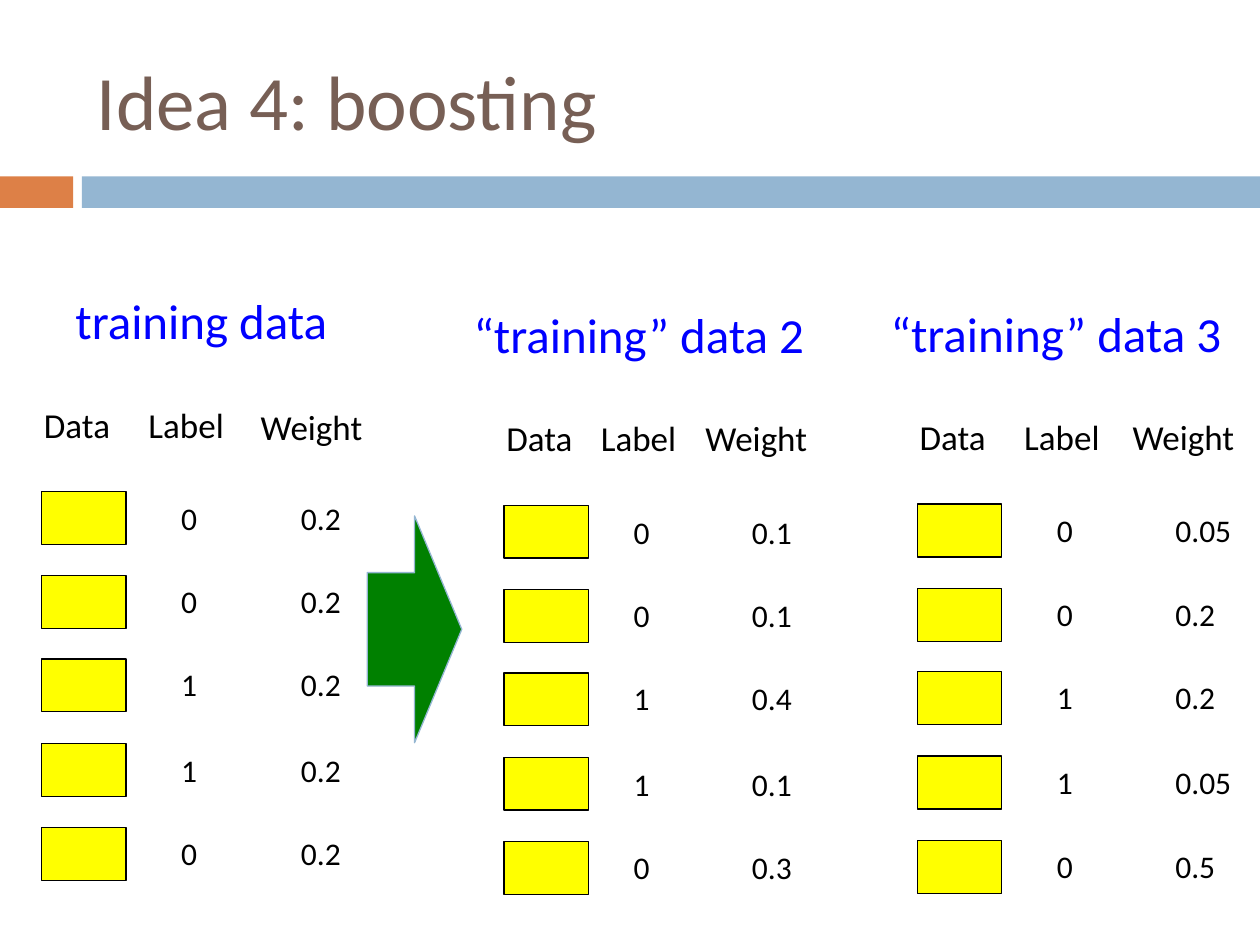
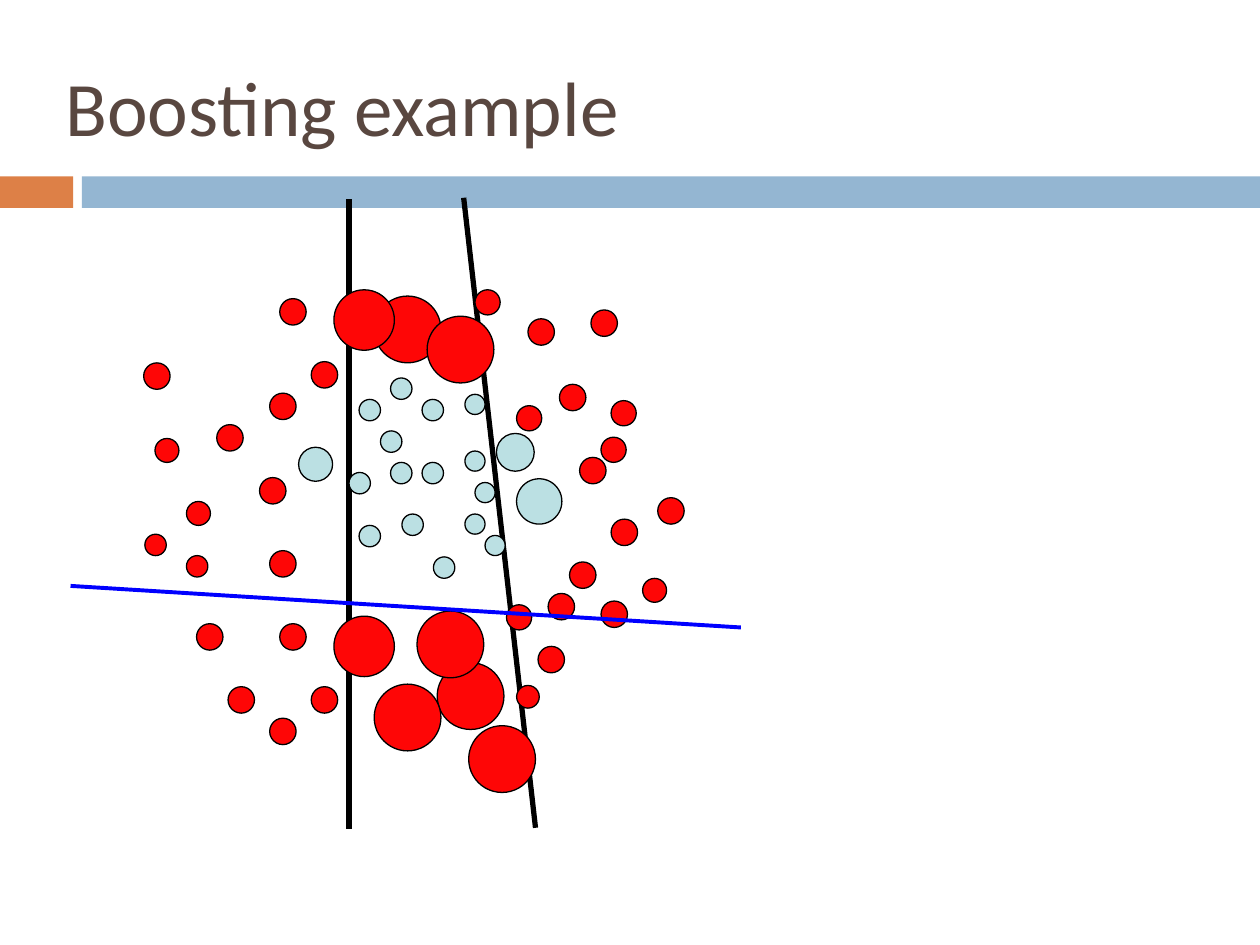
"""Build two slides about boosting: reweighted training data and a worked example."""
from dataclasses import dataclass
from typing import NamedTuple

from lxml.etree import SubElement
from pptx import Presentation
from pptx.dml.color import RGBColor
from pptx.enum.shapes import MSO_CONNECTOR, MSO_SHAPE
from pptx.enum.text import MSO_ANCHOR, MSO_AUTO_SIZE
from pptx.oxml.ns import qn
from pptx.shapes.autoshape import Shape
from pptx.slide import Slide
from pptx.util import Emu, Pt

EMU_PER_PX = 9144


@dataclass(frozen=True)
class Theme:
    font: str = "Calibri"
    title_size: int = 44
    heading_size: int = 28
    column_size: int = 20
    value_size: int = 18
    thin: float = 0.75
    medium: float = 2.25
    thick: float = 3
    title: str = "775F55"
    dark_title: str = "594740"
    ink: str = "000000"
    blue: str = "0000FF"
    orange_band: str = "DD8047"
    blue_band: str = "94B6D2"
    sample: str = "FFFF00"
    arrow: str = "008000"
    positive: str = "FE0606"
    negative: str = "BBE0E3"


THEME = Theme()


class Box(NamedTuple):
    left: int
    top: int
    width: int
    height: int


class Panel(NamedTuple):
    heading: str
    heading_left: int
    heading_width: int
    top: int
    data_left: int
    label_left: int
    weight_left: int
    weight_top: int
    value_left: int
    weights: tuple[str, ...]


class Dot(NamedTuple):
    left: int
    top: int
    size: int


class Divider(NamedTuple):
    start: tuple[int, int]
    end: tuple[int, int]
    color: str
    width: float


LABELS = ("0", "0", "1", "1", "0")
TEXT_DROPS = (1, 67, 133, 201, 267)
VALUE_WIDTHS = {1: 34, 3: 54, 4: 68}

PANELS = (
    Panel("training data", 50, 225, 390, 33, 108, 197, 317, 229,
          ("0.2", "0.2", "0.2", "0.2", "0.2")),
    Panel("“training” data 2", 366, 288, 401, 400, 467, 550, 326, 587,
          ("0.1", "0.1", "0.4", "0.1", "0.3")),
    Panel("“training” data 3", 697, 288, 400, 728, 803, 889, 325, 923,
          ("0.05", "0.2", "0.2", "0.05", "0.5")),
)

FIRST_DIVIDERS = (
    Divider((277, 158), (277, 658), THEME.ink, THEME.thick),
    Divider((368, 157), (425, 657), THEME.ink, THEME.thick),
)
LAST_DIVIDER = Divider((56, 465), (588, 498), THEME.blue, THEME.medium)

NEGATIVES = (
    Dot(335, 317, 17), Dot(369, 313, 16), Dot(310, 367, 17), Dot(369, 408, 16),
    Dot(285, 417, 17), Dot(335, 367, 17), Dot(369, 358, 16), Dot(377, 383, 16),
    Dot(319, 408, 17), Dot(277, 375, 17), Dot(285, 317, 17), Dot(344, 442, 17),
    Dot(302, 342, 17), Dot(385, 425, 16), Dot(237, 355, 27), Dot(310, 300, 17),
)
POSITIVES = (
    Dot(485, 412, 21), Dot(477, 347, 20), Dot(452, 446, 21), Dot(477, 477, 21),
    Dot(522, 395, 21), Dot(510, 459, 19), Dot(123, 348, 19), Dot(114, 288, 21),
    Dot(115, 424, 17), Dot(172, 337, 21), Dot(148, 398, 19), Dot(222, 495, 21),
    Dot(214, 437, 21), Dot(214, 570, 21), Dot(265, 489, 48), Dot(247, 545, 21),
    Dot(347, 526, 53), Dot(331, 485, 53), Dot(297, 543, 53), Dot(410, 544, 18),
    Dot(372, 576, 53), Dot(222, 237, 21), Dot(297, 235, 53), Dot(214, 312, 21),
    Dot(265, 230, 48), Dot(247, 287, 21), Dot(419, 253, 21), Dot(339, 251, 53),
    Dot(410, 322, 20), Dot(469, 246, 21), Dot(444, 305, 21), Dot(156, 495, 21),
    Dot(148, 441, 17), Dot(206, 379, 21), Dot(181, 545, 21), Dot(377, 230, 20),
    Dot(485, 318, 20), Dot(460, 363, 21), Dot(402, 480, 20), Dot(427, 513, 21),
    Dot(435, 471, 21),
)
HEAVY_NEGATIVES = (Dot(394, 344, 30), Dot(410, 380, 36))


def px(length: int) -> Emu:
    """Turn px into EMU."""
    return Emu(length * EMU_PER_PX)


def add_figure(page: Slide, kind: MSO_SHAPE, box: Box, fill: str,
               line: str | None = None, line_width: float = THEME.thin) -> Shape:
    """Draw a filled preset shape with an optional outline."""
    shape = page.shapes.add_shape(kind, *map(px, box))
    shape.shadow.inherit = False
    shape.fill.solid()
    shape.fill.fore_color.rgb = RGBColor.from_string(fill)
    if line:
        shape.line.color.rgb = RGBColor.from_string(line)
        shape.line.width = Pt(line_width)
    else:
        shape.line.fill.background()
    return shape


def add_text(page: Slide, text: str, box: Box, *, size: int, color: str = THEME.ink,
             wrap: bool = False, anchor: MSO_ANCHOR = MSO_ANCHOR.TOP,
             spacing: float | None = None) -> None:
    """Write one paragraph in a text box."""
    frame = page.shapes.add_textbox(*map(px, box)).text_frame
    frame.word_wrap = wrap
    frame.auto_size = MSO_AUTO_SIZE.NONE if wrap else MSO_AUTO_SIZE.SHAPE_TO_FIT_TEXT
    frame.vertical_anchor = anchor
    para = frame.paragraphs[0]
    para.line_spacing = spacing
    span = para.add_run()
    span.text = text
    span.font.name = THEME.font
    span.font.size = Pt(size)
    span.font.color.rgb = RGBColor.from_string(color)


def add_divider(page: Slide, divider: Divider) -> None:
    """Draw a straight line without a shadow."""
    connector = page.shapes.add_connector(
        MSO_CONNECTOR.STRAIGHT, *map(px, divider.start + divider.end))
    connector.line.color.rgb = RGBColor.from_string(divider.color)
    connector.line.width = Pt(divider.width)
    SubElement(connector.element.spPr, qn("a:effectLst"))


def add_dots(page: Slide, dots: tuple[Dot, ...], fill: str) -> None:
    """Draw outlined circles of one colour."""
    for dot in dots:
        add_figure(page, MSO_SHAPE.OVAL, Box(dot.left, dot.top, dot.size, dot.size),
                   fill, THEME.ink)


def add_page(deck: Presentation, title: str, box: Box, color: str,
             spacing: float | None = None) -> Slide:
    """Add a blank page with the shared bands and a title."""
    page = deck.slides.add_slide(deck.slide_layouts[6])
    add_figure(page, MSO_SHAPE.RECTANGLE, Box(0, 140, 58, 25), THEME.orange_band)
    add_figure(page, MSO_SHAPE.RECTANGLE, Box(65, 140, 935, 25), THEME.blue_band)
    add_text(page, title, box, size=THEME.title_size, color=color, wrap=True,
             anchor=MSO_ANCHOR.MIDDLE, spacing=spacing)
    return page


def add_value(page: Slide, value: str, left: int, top: int) -> None:
    """Write a number in a box that fits its length."""
    add_text(page, value, Box(left, top, VALUE_WIDTHS[len(value)], 40),
             size=THEME.value_size)


def add_panel(page: Slide, panel: Panel) -> None:
    """Draw a heading, column names and one row per weighted sample."""
    add_text(page, panel.heading,
             Box(panel.heading_left, panel.top - 164, panel.heading_width, 57),
             size=THEME.heading_size, color=THEME.blue)
    columns = (
        ("Data", Box(panel.data_left - 8, panel.top - 75, 79, 44)),
        ("Label", Box(panel.label_left, panel.top - 75, 89, 44)),
        ("Weight", Box(panel.weight_left, panel.weight_top, 103, 44)),
    )
    for name, box in columns:
        add_text(page, name, box, size=THEME.column_size)
    for row, (label, weight, drop) in enumerate(zip(LABELS, panel.weights, TEXT_DROPS)):
        sample = Box(panel.data_left, panel.top + round(row * 200 / 3), 67, 42)
        add_figure(page, MSO_SHAPE.RECTANGLE, sample, THEME.sample, THEME.ink)
        add_value(page, label, panel.label_left + 26, panel.top + drop)
        add_value(page, weight, panel.value_left, panel.top + drop)


def build_idea(deck: Presentation) -> None:
    """Show the training data being reweighted."""
    page = add_page(deck, "Idea 4: boosting", Box(67, 25, 892, 108), THEME.title)
    for panel in PANELS:
        add_panel(page, panel)
    arrow = add_figure(page, MSO_SHAPE.UP_ARROW, Box(239, 462, 180, 75),
                       THEME.arrow, THEME.blue_band)
    arrow.rotation = 90


def build_example(deck: Presentation) -> None:
    """Show three dividers between two classes of weighted points."""
    page = add_page(deck, "Boosting example", Box(42, 25, 900, 125),
                    THEME.dark_title, spacing=0.93)
    for divider in FIRST_DIVIDERS:
        add_divider(page, divider)
    add_dots(page, NEGATIVES, THEME.negative)
    add_dots(page, POSITIVES, THEME.positive)
    add_divider(page, LAST_DIVIDER)
    add_dots(page, HEAVY_NEGATIVES, THEME.negative)


def main() -> None:
    """Build and save the deck."""
    deck = Presentation()
    deck.slide_width = px(1000)
    deck.slide_height = px(750)
    build_idea(deck)
    build_example(deck)
    deck.save("out.pptx")


if __name__ == "__main__":
    main()
